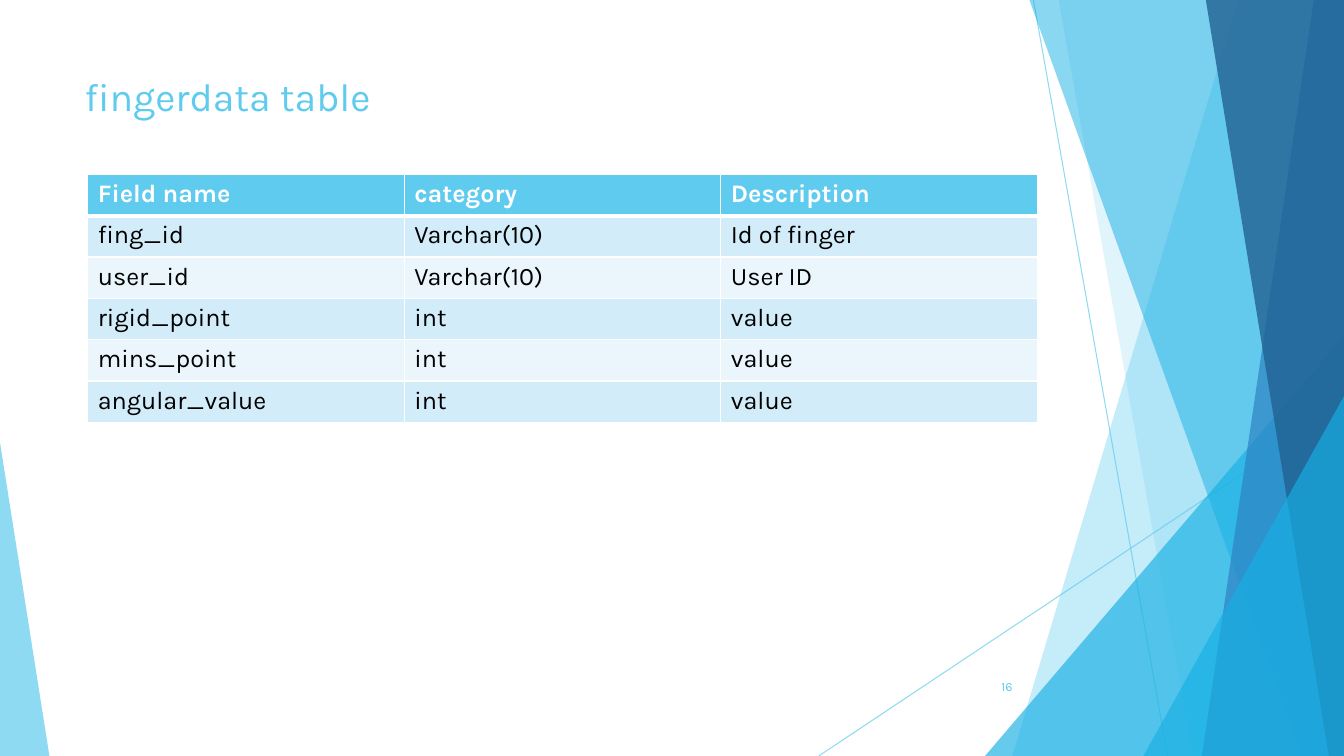
from lxml import etree
from pptx import Presentation
from pptx.dml.color import RGBColor
from pptx.enum.shapes import MSO_CONNECTOR, MSO_SHAPE
from pptx.enum.text import MSO_ANCHOR, PP_ALIGN
from pptx.oxml import parse_xml
from pptx.oxml.ns import nsdecls, qn
from pptx.util import Inches, Pt

STRAIGHT = MSO_CONNECTOR.STRAIGHT
TRIANGLE = MSO_SHAPE.ISOSCELES_TRIANGLE
TOP, MIDDLE = MSO_ANCHOR.TOP, MSO_ANCHOR.MIDDLE
LEFT, RIGHT = PP_ALIGN.LEFT, PP_ALIGN.RIGHT

FONT = "Karla"
WIDTH, HEIGHT = 13.33, 7.5
COLORS = {
    "sky": "5FCBEF", "cyan": "17B0E4", "blue": "2E83C3", "navy": "226292",
    "band_dark": "D2ECF9", "band_light": "EAF6FC",
    "white": "FFFFFF", "black": "000000",
}


def paint(fill, color, opacity):
    """Give a fill a solid colour with an opacity in percent."""
    fill.solid()
    fill.fore_color.rgb = RGBColor.from_string(COLORS[color])
    srgb = fill._xPr.find(".//" + qn("a:srgbClr"))
    etree.SubElement(srgb, qn("a:alpha")).set("val", str(opacity * 1000))


def write(frame, text, color, size, bold=False, align=LEFT):
    """Put one formatted line of text into a text frame."""
    paragraph = frame.paragraphs[0]
    paragraph.alignment = align
    run = paragraph.add_run()
    run.text = text
    for name, value in {"name": FONT, "size": Pt(size), "bold": bold}.items():
        setattr(run.font, name, value)
    run.font.color.rgb = RGBColor.from_string(COLORS[color])


presentation = Presentation()
presentation.slide_width = Inches(WIDTH)
presentation.slide_height = Inches(HEIGHT)
slide = presentation.slides.add_slide(presentation.slide_layouts[6])
shapes = slide.shapes

# Thin crossing lines
for ends in [(10.25, 0, 11.58, HEIGHT), (WIDTH, 4.03, 8.12, HEIGHT)]:
    line = shapes.add_connector(STRAIGHT, *map(Inches, ends))
    line.line.width = Pt(0.75)
    paint(line.line.fill, "sky", 70)
    etree.SubElement(line._element.spPr, qn("a:effectLst"))

# Translucent facets, back to front. A panel (top x, bottom x) reaches the right
# edge; a triangle (left, top, width, apex position) stands on the bottom edge.
facets = [
    ((12.28, 10.04), "sky", 36),
    ((10.5, 11.83), "sky", 20),
    ((9.77, 3.33, 3.56, 1), "cyan", 66),
    ((10.21, 12.91), "cyan", 50),
    ((13.03, 11.92), "blue", 70),
    ((11.96, 13.18), "navy", 80),
    ((11.34, 3.93, 1.99, 1), "cyan", 66),
    ((0, 4.39, 0.49, 0), "sky", 70),
]
for geometry, color, opacity in facets:
    if len(geometry) == 2:
        top_x, bottom_x = geometry
        builder = shapes.build_freeform(Inches(top_x), 0)
        corners = [(WIDTH, 0), (WIDTH, HEIGHT), (bottom_x, HEIGHT)]
        builder.add_line_segments([(Inches(x), Inches(y)) for x, y in corners])
        facet = builder.convert_to_shape()
    else:
        left, top, width, apex = geometry
        box = (left, top, width, HEIGHT - top)
        facet = shapes.add_shape(TRIANGLE, *map(Inches, box))
        facet.adjustments[0] = apex
    paint(facet.fill, color, opacity)
    facet.line.fill.background()
    facet.shadow.inherit = False

# Slide number and title
labels = [
    ("16", (9.39, 6.61, 0.75, 0.4), 9, RIGHT, MIDDLE),
    ("fingerdata table", (0.74, 0.67, 9.92, 0.7), 28, LEFT, TOP),
]
for text, box, size, align, anchor in labels:
    frame = shapes.add_textbox(*map(Inches, box)).text_frame
    frame.word_wrap = True
    frame.vertical_anchor = anchor
    write(frame, text, "sky", size, align=align)

# Field table
fields = [
    ("Field name", "category", "Description"),
    ("fing_id", "Varchar(10)", "Id of finger"),
    ("user_id", "Varchar(10)", "User ID"),
    ("rigid_point", "int", "value"),
    ("mins_point", "int", "value"),
    ("angular_value", "int", "value"),
]
COLUMN, ROW = 3.14, 0.41
box = (0.87, 1.73, 3 * COLUMN, len(fields) * ROW)
table = shapes.add_table(len(fields), 3, *map(Inches, box)).table
for row_index, row in enumerate(fields):
    header = row_index == 0
    band = "sky" if header else ("band_light", "band_dark")[row_index % 2]
    # The heavy rule under the header is shared with the first field row
    borders = {"L": 1, "R": 1, "T": 3 if row_index == 1 else 1, "B": 3 if header else 1}
    for column_index, text in enumerate(row):
        cell = table.cell(row_index, column_index)
        write(cell.text_frame, text, "white" if header else "black", 18, header)
        properties = cell._tc.get_or_add_tcPr()
        for side, points in borders.items():
            properties.append(parse_xml(
                f'<a:ln{side} {nsdecls("a")} w="{Pt(points)}"><a:solidFill>'
                f'<a:srgbClr val="{COLORS["white"]}"/></a:solidFill></a:ln{side}>'))
        cell.fill.solid()
        cell.fill.fore_color.rgb = RGBColor.from_string(COLORS[band])

presentation.save("out.pptx")
